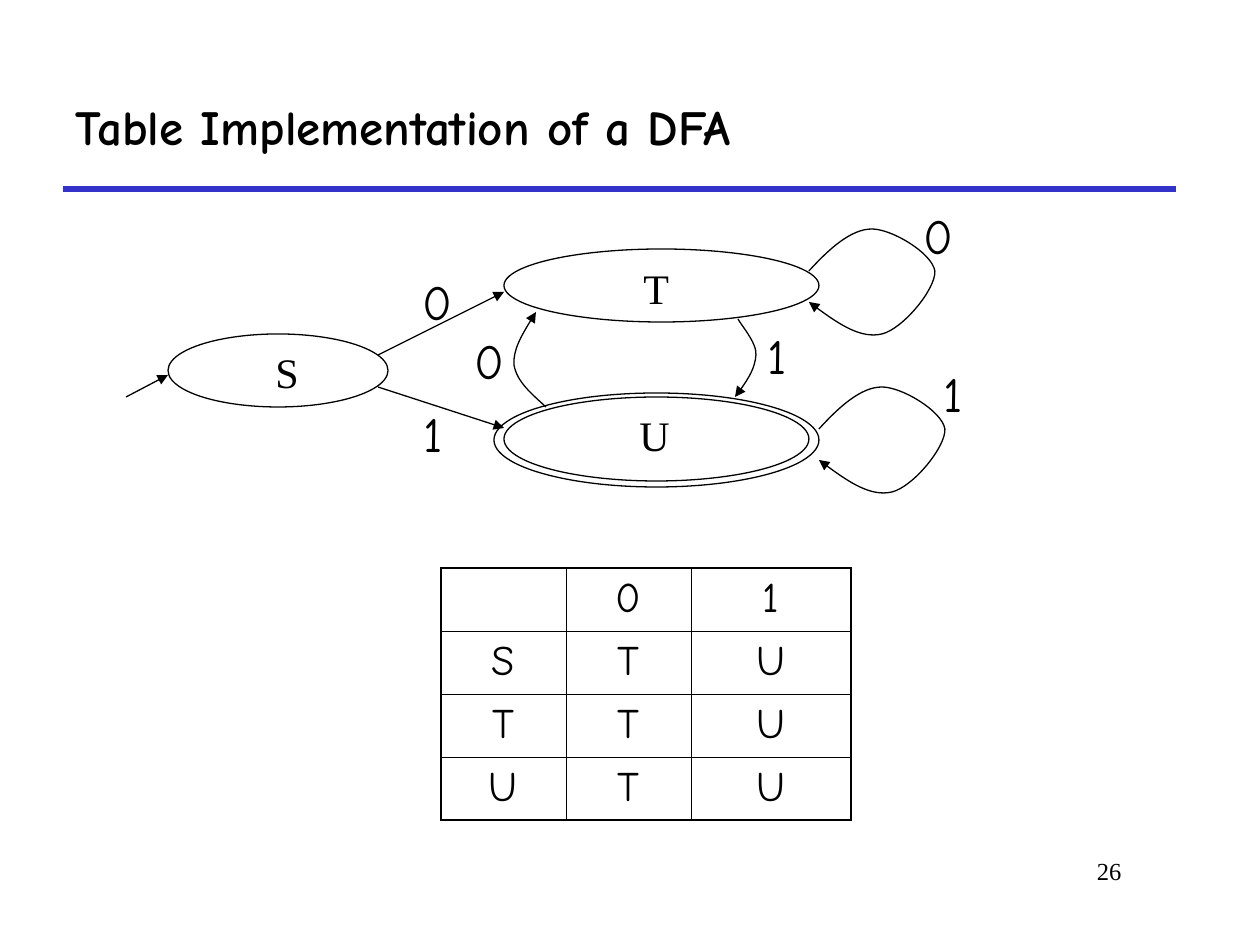
from lxml import etree
from pptx import Presentation
from pptx import util as u
from pptx.dml.color import RGBColor
from pptx.enum import shapes, text
from pptx.oxml import ns

THEME = {
    "ink": RGBColor(0, 0, 0), "rule": RGBColor(0x33, 0x33, 0xCC),
    "hand": "Comic Neue", "serif": "Times New Roman",
    "title": 28, "symbol": 28, "state": 24, "cell": 24, "number": 14,
    "thin": 0.75, "rule_width": 3, "inner": 0.45, "outer": 1.08,
}
SCALE = 914400 / 126

HEADING = "Table Implementation of a DFA"
HEADING_BOX = (63, 63, 1113, 126)
RULE = (63, 189, 1176, 189)
NUMBER = ("26", (955, 850, 179, 63))
STATES = [
    ("S", (168, 334, 220, 73), (263, 340, 48, 63)),
    ("T", (504, 249, 315, 73), (631, 256, 50, 63)),
    ("U", (504, 397, 305, 84), (627, 403, 55, 63)),
]
ACCEPTING_RING = (494, 393, 325, 94)
ARROWS = [(126, 397, 168, 375), (378, 355, 504, 292), (378, 387, 504, 428)]
SELF_LOOP = [
    (809, 271), (829, 249), (851, 229), (872, 229), (892, 229), (932, 253),
    (935, 271), (936, 289), (903, 329), (882, 334), (861, 339), (834, 321),
    (809, 302),
]
U_LOOP_SHIFT = (10, 158)
U_TO_T = [(546, 407), (532, 394), (517, 382), (514, 365),
          (513, 350), (524, 331), (536, 312)]
T_TO_U = [(738, 319), (741, 325), (757, 343), (756, 355),
          (755, 368), (746, 383), (735, 397)]
SYMBOLS = [("0", 410, 265), ("1", 411, 397), ("0", 911, 199),
           ("1", 931, 357), ("0", 462, 324), ("1", 755, 319)]
SYMBOL_WIDTHS = {"0": 54, "1": 44}
SYMBOL_HEIGHT = 72
TRANSITIONS = [["", "0", "1"], ["S", "T", "U"], ["T", "T", "U"], ["U", "T", "U"]]
TABLE_CORNER = (441, 568)
COLUMNS = [125, 125, 160]
ROW_HEIGHT = 63


def px(*lengths):
    return [u.Emu(round(length * SCALE)) for length in lengths]


def write(paragraph, words, font, size, bold=False):
    run = paragraph.add_run()
    run.text = words
    run.font.name = THEME[font]
    run.font.size = u.Pt(THEME[size])
    run.font.bold = bold
    run.font.color.rgb = THEME["ink"]


def label(slide, words, box, font, size, wrap=False, align=text.PP_ALIGN.LEFT):
    frame = slide.shapes.add_textbox(*px(*box)).text_frame
    frame.word_wrap = wrap
    frame.auto_size = (text.MSO_AUTO_SIZE.NONE if wrap
                       else text.MSO_AUTO_SIZE.SHAPE_TO_FIT_TEXT)
    frame.paragraphs[0].alignment = align
    write(frame.paragraphs[0], words, font, size)


def stroke(item, colour="ink", width="thin", arrow=False):
    item.line.color.rgb = THEME[colour]
    item.line.width = u.Pt(THEME[width])
    if arrow:
        etree.SubElement(item.line._get_or_add_ln(), ns.qn("a:tailEnd"), type="triangle")


def straight(slide, ends, **style):
    connector = slide.shapes.add_connector(shapes.MSO_CONNECTOR.STRAIGHT, *px(*ends))
    stroke(connector, **style)
    etree.SubElement(connector._element.spPr, ns.qn("a:effectLst"))


def outline(item, arrow=False):
    item.shadow.inherit = False
    item.fill.background()
    stroke(item, arrow=arrow)


def ellipse(slide, box):
    outline(slide.shapes.add_shape(shapes.MSO_SHAPE.OVAL, *px(*box)))


def curve(slide, points):
    builder = slide.shapes.build_freeform(*points[0], scale=SCALE)
    builder.add_line_segments(points[1:], close=False)
    arc = builder.convert_to_shape()
    segments = list(arc._element.iter(ns.qn("a:lnTo")))
    for first in range(0, len(segments), 3):
        bezier = etree.Element(ns.qn("a:cubicBezTo"))
        segments[first].addprevious(bezier)
        for segment in segments[first:first + 3]:
            bezier.append(segment[0])
            segment.getparent().remove(segment)
    outline(arc, arrow=True)


def border(cell, outer_sides):
    for side in "LRTB":
        width = THEME["outer" if side in outer_sides else "inner"]
        edge = etree.SubElement(cell._tc.get_or_add_tcPr(), ns.qn(f"a:ln{side}"),
                                w=str(u.Pt(width)))
        fill = etree.SubElement(edge, ns.qn("a:solidFill"))
        etree.SubElement(fill, ns.qn("a:srgbClr"), val=str(THEME["ink"]))


def transition_table(slide):
    row_count, column_count = len(TRANSITIONS), len(COLUMNS)
    size = (sum(COLUMNS), ROW_HEIGHT * row_count)
    table = slide.shapes.add_table(row_count, column_count, *px(*TABLE_CORNER, *size)).table
    table.first_row = table.horz_banding = False
    for column, width in zip(table.columns, px(*COLUMNS)):
        column.width = width
    for r, entries in enumerate(TRANSITIONS):
        for c, entry in enumerate(entries):
            cell = table.cell(r, c)
            sides = {"L": c == 0, "R": c == column_count - 1,
                     "T": r == 0, "B": r == row_count - 1}
            border(cell, [side for side, is_outer in sides.items() if is_outer])
            cell.fill.background()
            if entry:
                paragraph = cell.text_frame.paragraphs[0]
                paragraph.alignment = text.PP_ALIGN.CENTER
                paragraph.space_before = u.Pt(6)
                write(paragraph, entry, "hand", "cell")


def main():
    deck = Presentation()
    deck.slide_width, deck.slide_height = px(1260, 945)
    slide = deck.slides.add_slide(deck.slide_layouts[5])

    heading = slide.shapes.title
    heading.left, heading.top, heading.width, heading.height = px(*HEADING_BOX)
    heading.text_frame.auto_size = text.MSO_AUTO_SIZE.NONE
    heading.text_frame.vertical_anchor = text.MSO_ANCHOR.MIDDLE
    heading.text_frame.paragraphs[0].alignment = text.PP_ALIGN.LEFT
    write(heading.text_frame.paragraphs[0], HEADING, "hand", "title", bold=True)
    straight(slide, RULE, colour="rule", width="rule_width")
    label(slide, *NUMBER, "serif", "number", wrap=True, align=text.PP_ALIGN.RIGHT)

    for state, oval, name_box in STATES:
        ellipse(slide, oval)
        label(slide, state, name_box, "serif", "state")
    ellipse(slide, ACCEPTING_RING)
    for ends in ARROWS:
        straight(slide, ends, arrow=True)
    dx, dy = U_LOOP_SHIFT
    u_loop = [(x + dx, y + dy) for x, y in SELF_LOOP]
    for points in (SELF_LOOP, u_loop, U_TO_T, T_TO_U):
        curve(slide, points)
    for symbol, x, y in SYMBOLS:
        label(slide, symbol, (x, y, SYMBOL_WIDTHS[symbol], SYMBOL_HEIGHT), "hand", "symbol")

    transition_table(slide)
    deck.save("out.pptx")


if __name__ == "__main__":
    main()
